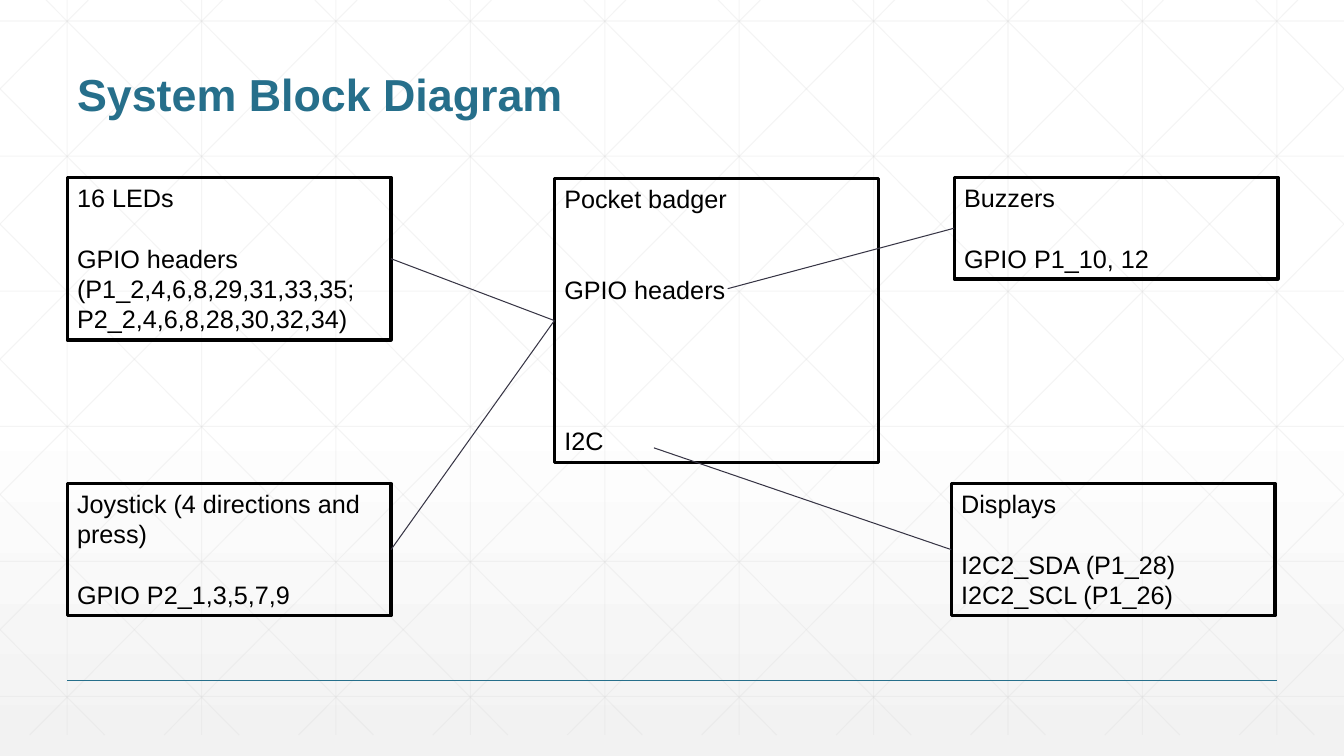
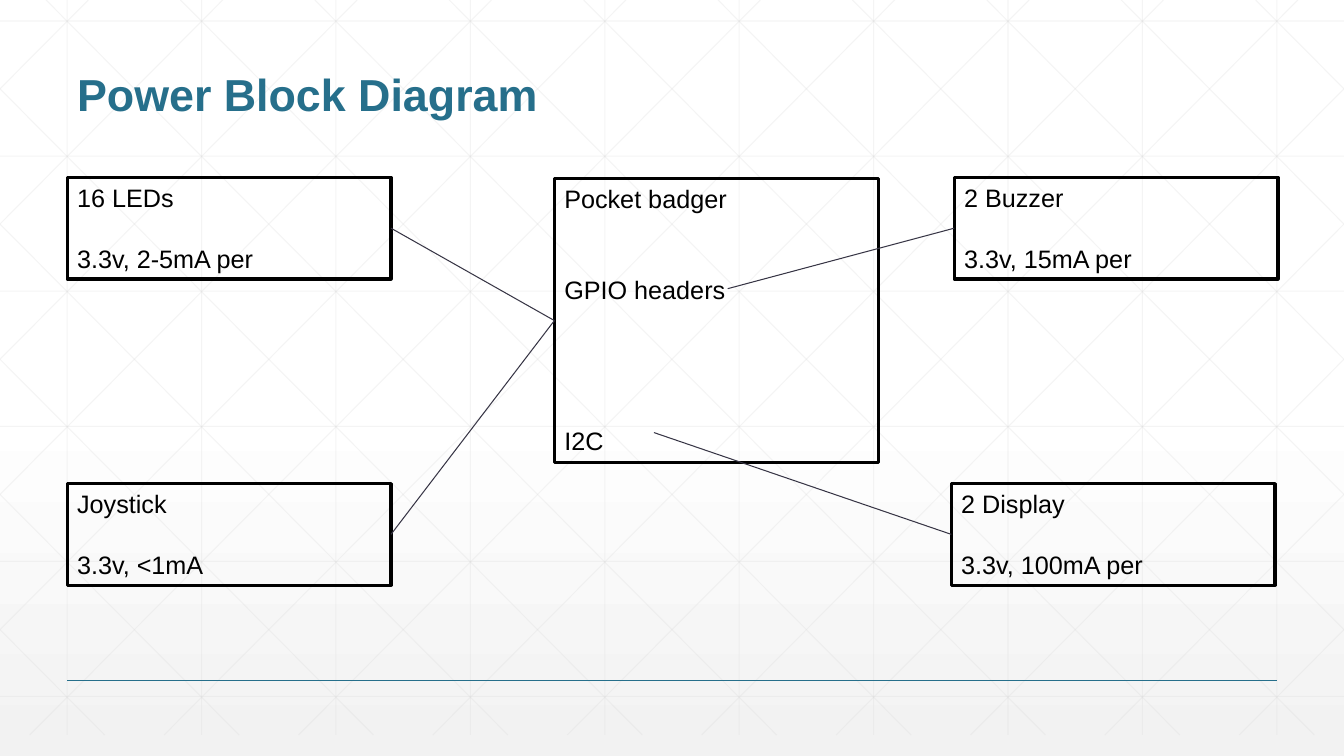
from dataclasses import dataclass

from lxml import etree
from pptx import Presentation
from pptx.dml.color import RGBColor
from pptx.enum.shapes import MSO_CONNECTOR, MSO_SHAPE
from pptx.enum.text import MSO_ANCHOR, PP_ALIGN
from pptx.oxml.ns import qn
from pptx.util import Pt

STRAIGHT = MSO_CONNECTOR.STRAIGHT
RECTANGLE = MSO_SHAPE.RECTANGLE
TOP = MSO_ANCHOR.TOP
BOTTOM = MSO_ANCHOR.BOTTOM
LEFT = PP_ALIGN.LEFT

COLOURS = {
    "accent": "266F8B",
    "grid": "D8D8D8",
    "wire": "373545",
    "ink": "000000",
    "page": "FFFFFF",
    "page_end": "F2F2F2",
}
FONT = "Arial"
SLIDE_WIDTH, SLIDE_HEIGHT = 960, 540
MARGIN = 48
GRID_STEP, GRID_TOP, GRID_BOTTOM = 96, -15, 525
DIAGONAL_START, DIAGONAL_SLOPE = 18, 1.006
INSET = 3.6
LINE_PITCH, ROW_HEIGHT = 21.6, 21.8
BLOCK_WIDTH = 231.3
LEFT_SITE, RIGHT_SITE = 1, 3


@dataclass(frozen=True)
class Entry:
    text: str
    blank_rows: int = 0


@dataclass(frozen=True)
class Spot:
    left: float
    top: float
    wire_offset: tuple[float, float] | None = None


@dataclass(frozen=True)
class Block:
    spot: Spot
    rows: int
    entries: tuple[Entry, ...]

    @property
    def height(self) -> float:
        return 2 * INSET + self.rows * ROW_HEIGHT


@dataclass(frozen=True)
class Diagram:
    title: str
    blocks: tuple[Block, ...]


LEDS = Spot(MARGIN, 126.7)
JOYSTICK = Spot(MARGIN, 345.4)
BUZZERS = Spot(681.6, 126.7, (-161.8, 43.2))
DISPLAYS = Spot(679.5, 345.4, (-212.4, -72.7))
BOARD = Block(
    Spot(396, 127.3),
    9,
    (Entry("Pocket badger"), Entry("GPIO headers", 2), Entry("I2C", 4)),
)

DIAGRAMS = (
    Diagram("System Block Diagram", (
        Block(LEDS, 5, (
            Entry("16 LEDs"),
            Entry("GPIO headers (P1_2,4,6,8,29,31,33,35; P2_2,4,6,8,28,30,32,34)", 1),
        )),
        Block(BUZZERS, 3, (Entry("Buzzers"), Entry("GPIO P1_10, 12", 1))),
        Block(JOYSTICK, 4, (
            Entry("Joystick (4 directions and press)"),
            Entry("GPIO P2_1,3,5,7,9", 1),
        )),
        Block(DISPLAYS, 4, (
            Entry("Displays"),
            Entry("I2C2_SDA (P1_28)", 1),
            Entry("I2C2_SCL (P1_26)"),
        )),
    )),
    Diagram("Power Block Diagram", (
        Block(LEDS, 3, (Entry("16 LEDs"), Entry("3.3v, 2-5mA per", 1))),
        Block(BUZZERS, 3, (Entry("2 Buzzer"), Entry("3.3v, 15mA per", 1))),
        Block(JOYSTICK, 3, (Entry("Joystick"), Entry("3.3v, <1mA", 1))),
        Block(DISPLAYS, 3, (Entry("2 Display"), Entry("3.3v, 100mA per", 1))),
    )),
)


def colour(name: str) -> RGBColor:
    return RGBColor.from_string(COLOURS[name])


def add_line(slide, start: tuple[float, float], end: tuple[float, float],
             colour_name: str, width: float = 0.75, opacity: int = 100):
    connector = slide.shapes.add_connector(
        STRAIGHT, Pt(start[0]), Pt(start[1]), Pt(end[0]), Pt(end[1]))
    connector.line.color.rgb = colour(colour_name)
    connector.line.width = Pt(width)
    properties = connector._element.spPr
    etree.SubElement(properties, qn("a:effectLst"))
    if opacity < 100:
        value = next(properties.iter(qn("a:srgbClr")))
        etree.SubElement(value, qn("a:alpha"), val=str(opacity * 1000))
    return connector


def add_run(paragraph, text: str, size: float, colour_name: str, bold: bool = False) -> None:
    run = paragraph.add_run()
    run.text = text
    run.font.name = FONT
    run.font.size = Pt(size)
    run.font.bold = bold
    run.font.color.rgb = colour(colour_name)


def set_background(presentation) -> None:
    fill = presentation.slide_master.background.fill
    fill.gradient()
    fill.gradient_angle = 270
    for stop, position, name in zip(
            fill.gradient_stops, (0.53, 1), ("page", "page_end")):
        stop.position = position
        stop.color.rgb = colour(name)


def add_grid(slide) -> None:
    segments = []
    for column in range(10):
        x = MARGIN + column * GRID_STEP
        segments.append(((x, 0), (x, GRID_BOTTOM)))
    for row in range(6):
        y = 15 + row * 96.5
        segments.append(((0, y), (SLIDE_WIDTH, y)))
    for step in range(-5, 10):
        origin = DIAGONAL_START + step * GRID_STEP
        y_start = max(0, GRID_TOP - origin * DIAGONAL_SLOPE)
        y_end = min(GRID_BOTTOM, GRID_TOP + (SLIDE_WIDTH - origin) * DIAGONAL_SLOPE)
        x_start, x_end = (
            origin + (y - GRID_TOP) / DIAGONAL_SLOPE for y in (y_start, y_end))
        segments.append(((x_start, y_start), (x_end, y_end)))
        segments.append(((SLIDE_WIDTH - x_start, y_start), (SLIDE_WIDTH - x_end, y_end)))
    for start, end in segments:
        add_line(slide, start, end, "grid", opacity=25)


def add_title(slide, text: str) -> None:
    box = slide.shapes.add_textbox(
        Pt(MARGIN), Pt(18), Pt(SLIDE_WIDTH - 2 * MARGIN), Pt(72))
    frame = box.text_frame
    frame.word_wrap = True
    frame.vertical_anchor = BOTTOM
    paragraph = frame.paragraphs[0]
    paragraph.line_spacing = 0.9
    add_run(paragraph, text, 32, "accent", bold=True)


def add_block(slide, block: Block):
    shape = slide.shapes.add_shape(
        RECTANGLE, Pt(block.spot.left), Pt(block.spot.top),
        Pt(BLOCK_WIDTH), Pt(block.height))
    shape.shadow.inherit = False
    shape.fill.background()
    shape.line.color.rgb = colour("ink")
    shape.line.width = Pt(2.25)
    frame = shape.text_frame
    frame.word_wrap = True
    frame.vertical_anchor = TOP
    for index, entry in enumerate(block.entries):
        paragraph = frame.add_paragraph() if index else frame.paragraphs[0]
        paragraph.alignment = LEFT
        paragraph.line_spacing = Pt(LINE_PITCH)
        paragraph.space_before = Pt(entry.blank_rows * LINE_PITCH)
        add_run(paragraph, entry.text, 18, "ink")
    return shape


def add_wire(slide, block: Block, shape, board) -> None:
    offset = block.spot.wire_offset
    middle = block.spot.top + block.height / 2
    if offset is None:
        start = (block.spot.left + BLOCK_WIDTH, middle)
        end = (BOARD.spot.left, BOARD.spot.top + BOARD.height / 2)
        wire = add_line(slide, start, end, "wire")
        wire.begin_connect(shape, RIGHT_SITE)
        wire.end_connect(board, LEFT_SITE)
    else:
        start = (block.spot.left, middle)
        end = (start[0] + offset[0], start[1] + offset[1])
        wire = add_line(slide, start, end, "wire")
        wire.begin_connect(shape, LEFT_SITE)


def add_diagram(presentation, diagram: Diagram) -> None:
    slide = presentation.slides.add_slide(presentation.slide_layouts[6])
    add_grid(slide)
    add_line(slide, (MARGIN, 486), (SLIDE_WIDTH - MARGIN, 486), "accent", 1)
    add_title(slide, diagram.title)
    board = add_block(slide, BOARD)
    shapes = [add_block(slide, block) for block in diagram.blocks]
    for block, shape in zip(diagram.blocks, shapes):
        add_wire(slide, block, shape, board)


def main() -> None:
    presentation = Presentation()
    presentation.slide_width = Pt(SLIDE_WIDTH)
    presentation.slide_height = Pt(SLIDE_HEIGHT)
    set_background(presentation)
    for diagram in DIAGRAMS:
        add_diagram(presentation, diagram)
    presentation.save("out.pptx")


if __name__ == "__main__":
    main()
